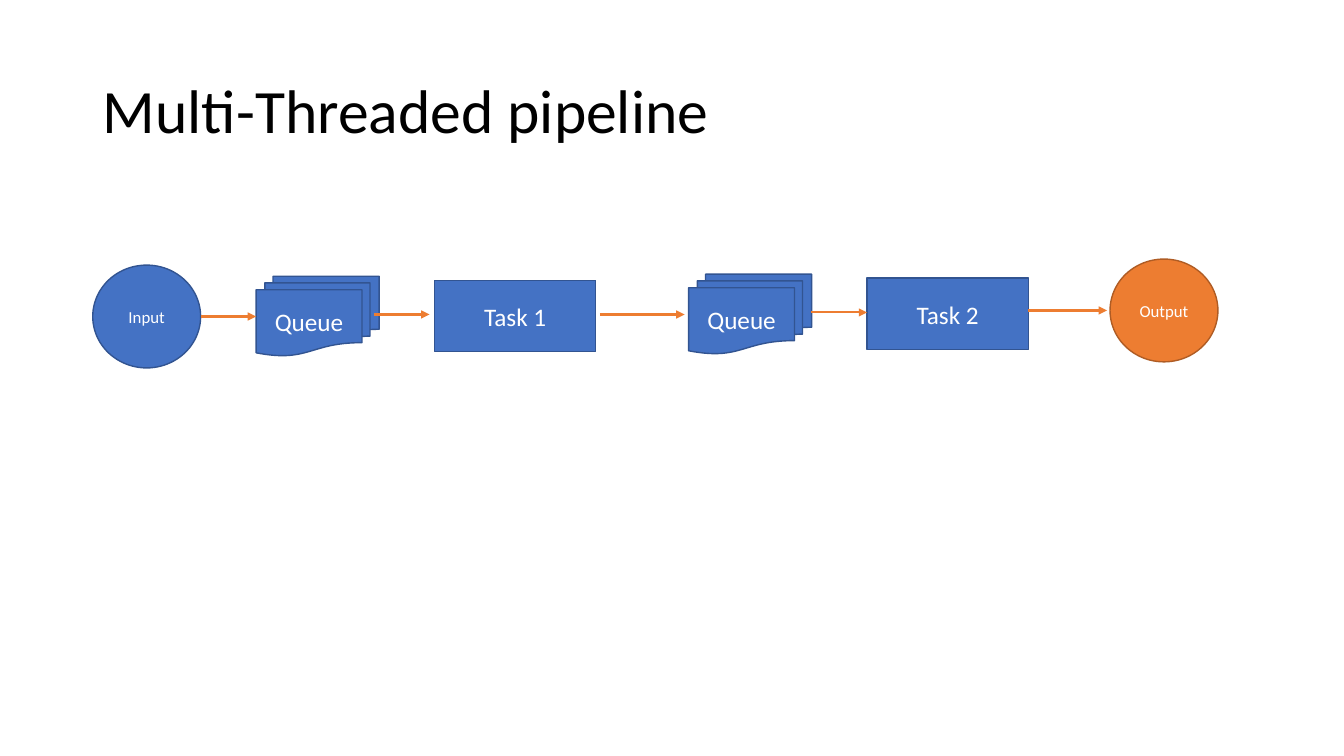
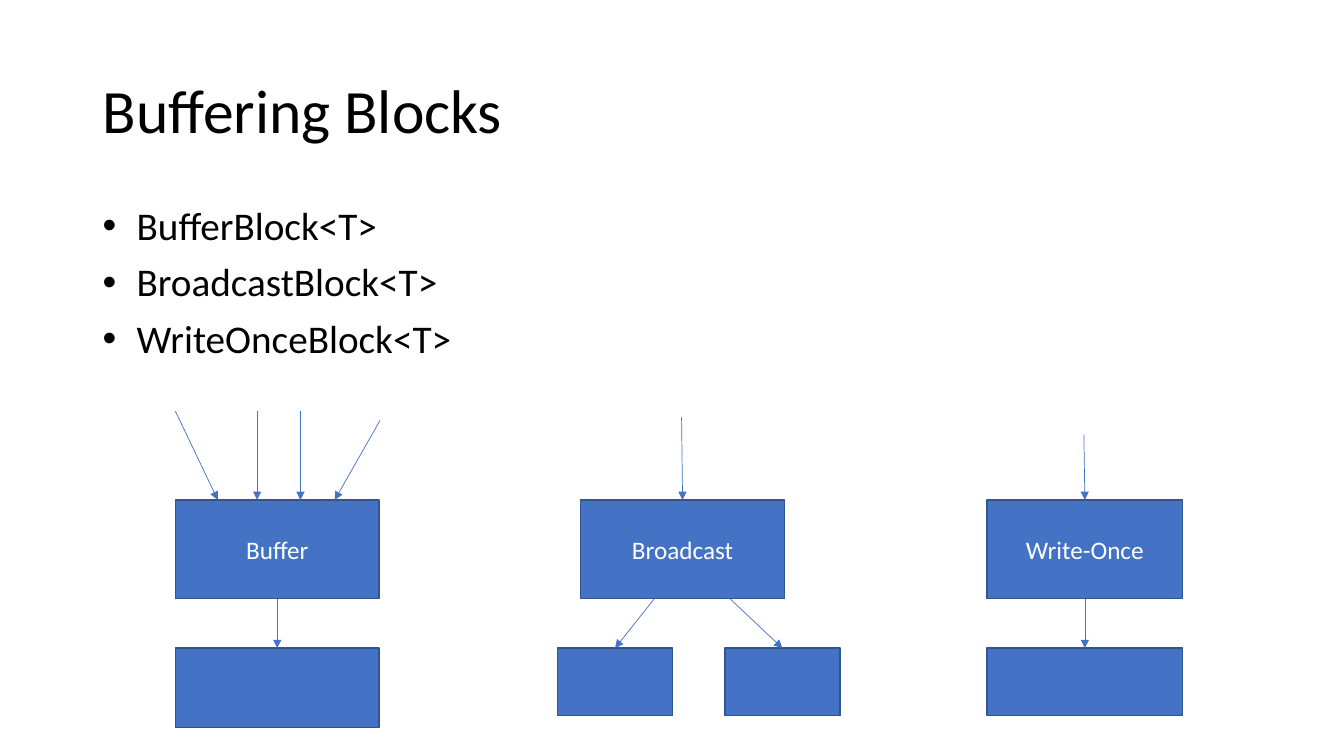
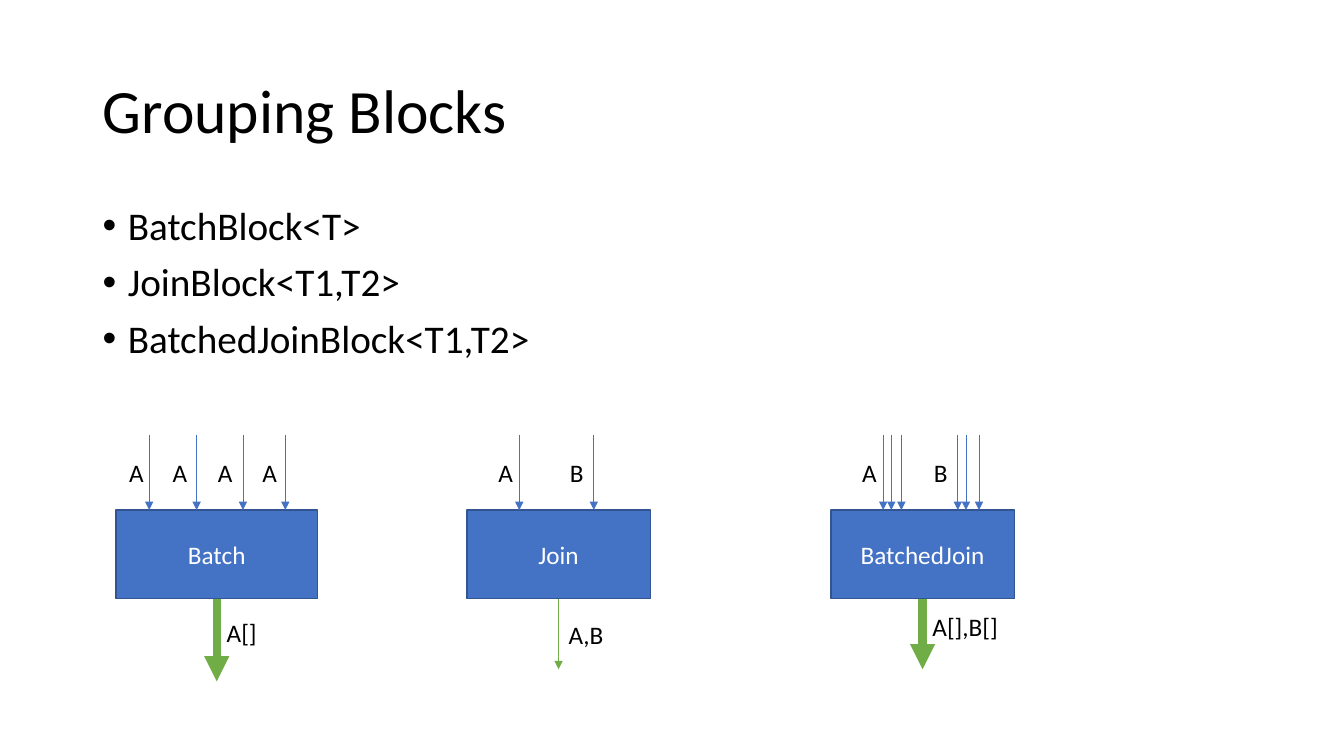
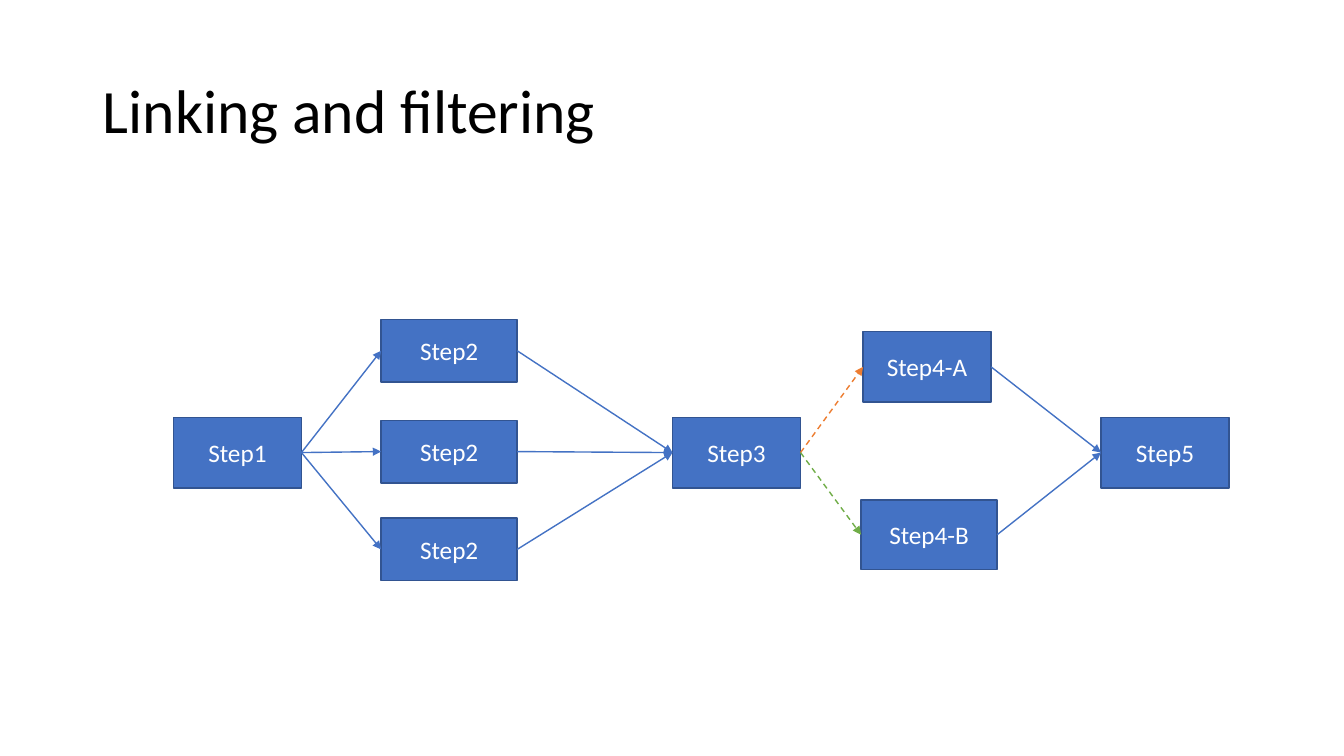
import pptx
import pptx.dml.color
import pptx.enum.dml
import pptx.enum.shapes
import pptx.enum.text
import pptx.oxml
import pptx.oxml.ns
import pptx.util

Inches = pptx.util.Inches
Pt = pptx.util.Pt
RGBColor = pptx.dml.color.RGBColor
MSO_SHAPE = pptx.enum.shapes.MSO_SHAPE
PP_ALIGN = pptx.enum.text.PP_ALIGN
MSO_ANCHOR = pptx.enum.text.MSO_ANCHOR
DASH = pptx.enum.dml.MSO_LINE.DASH

FONT = "Calibri"
BLACK = RGBColor(0x00, 0x00, 0x00)
WHITE = RGBColor(0xFF, 0xFF, 0xFF)
BLUE = RGBColor(0x44, 0x72, 0xC4)
BLUE_EDGE = RGBColor(0x32, 0x54, 0x91)
ORANGE = RGBColor(0xED, 0x7D, 0x31)
ORANGE_EDGE = RGBColor(0xAF, 0x5C, 0x24)
GREEN = RGBColor(0x70, 0xAD, 0x47)

TITLE_BOX = (0.92, 0.4, 11.5, 1.45)
BODY_BOX = (0.92, 2, 11.5, 4.76)
LEFT_SITE, RIGHT_SITE = 1, 3


def add_xml(parent, tag, **attributes):
    """Append a DrawingML element to parent and return it."""
    child = pptx.oxml.parse_xml(f"<{tag} {pptx.oxml.ns.nsdecls('a')}/>")
    for name, value in attributes.items():
        child.set(name, value)
    parent.append(child)
    return child


def add_run(p, text, size, color):
    """Add one run of text in the shared font."""
    r = p.add_run()
    r.text = text
    r.font.name = FONT
    r.font.size = Pt(size)
    r.font.color.rgb = color


def add_slide(prs, title):
    """Add a title-only slide with the shared title style."""
    s = prs.slides.add_slide(prs.slide_layouts[5])
    sp = s.shapes.title
    sp.left, sp.top, sp.width, sp.height = map(Inches, TITLE_BOX)
    sp.text_frame.vertical_anchor = MSO_ANCHOR.MIDDLE
    p = sp.text_frame.paragraphs[0]
    p.alignment = PP_ALIGN.LEFT
    p.line_spacing = 0.9
    add_run(p, title, 44, BLACK)
    return s


def add_bullets(s, box, items):
    """Add a bulleted list in the given box."""
    tf = s.shapes.add_textbox(*map(Inches, box)).text_frame
    tf.word_wrap = True
    for i, item in enumerate(items):
        p = tf.add_paragraph() if i else tf.paragraphs[0]
        p.line_spacing = 0.9
        p.space_before = Pt(10)
        pPr = p._p.get_or_add_pPr()
        pPr.set("marL", str(Inches(0.25)))
        pPr.set("indent", str(-Inches(0.25)))
        add_xml(pPr, "a:buFont", typeface="Arial")
        add_xml(pPr, "a:buChar", char="•")
        add_run(p, item, 28, BLACK)


def add_block(s, box, text="", kind=MSO_SHAPE.RECTANGLE, size=18, fill=BLUE, edge=BLUE_EDGE):
    """Add a filled shape with centred white text."""
    sp = s.shapes.add_shape(kind, *map(Inches, box))
    sp.shadow.inherit = False
    sp.fill.solid()
    sp.fill.fore_color.rgb = fill
    sp.line.color.rgb = edge
    sp.line.width = Pt(1)
    if text:
        sp.text_frame.vertical_anchor = MSO_ANCHOR.MIDDLE
        p = sp.text_frame.paragraphs[0]
        p.alignment = PP_ALIGN.CENTER
        add_run(p, text, size, WHITE)
    return sp


def add_arrow(s, start=(0, 0), end=(0, 0), color=BLUE, width=0.5, dash=None):
    """Add a straight arrow from start to end."""
    straight = pptx.enum.shapes.MSO_CONNECTOR.STRAIGHT
    arrow = s.shapes.add_connector(straight, *map(Inches, start + end))
    arrow.line.color.rgb = color
    arrow.line.width = Pt(width)
    if dash:
        arrow.line.dash_style = dash
    add_xml(arrow.line._get_or_add_ln(), "a:tailEnd", type="triangle")
    add_xml(arrow._element.spPr, "a:effectLst")
    return arrow


def link(s, source, target, color=BLUE, dash=None):
    """Join the right side of source to the left side of target."""
    arrow = add_arrow(s, color=color, width=1, dash=dash)
    arrow.begin_connect(source, RIGHT_SITE)
    arrow.end_connect(target, LEFT_SITE)


def add_label(s, x, y, text, width=0.12, wrap=True):
    """Add a short black label."""
    tf = s.shapes.add_textbox(*map(Inches, (x, y, width, 0.4))).text_frame
    tf.word_wrap = wrap
    tf.auto_size = pptx.enum.text.MSO_AUTO_SIZE.SHAPE_TO_FIT_TEXT
    add_run(tf.paragraphs[0], text, 18, BLACK)


def pipeline(s, x, y):
    """Draw the pipeline with its top left corner at x, y."""
    add_block(s, (x, y + 0.06, 1.07, 1.02), "Input", MSO_SHAPE.OVAL, 12)
    add_block(s, (x + 10.09, y, 1.07, 1.02), "Output", MSO_SHAPE.OVAL, 12, ORANGE, ORANGE_EDGE)
    for dx, dy, task in ((1.62, 0.17, "Task 1"), (5.91, 0.15, "Task 2")):
        add_block(s, (x + dx, y + dy, 1.22, 0.79), "Queue", MSO_SHAPE.FLOWCHART_MULTIDOCUMENT)
        add_block(s, (x + dx + 1.77, y + dy + 0.04, 1.6, 0.71), task)
    for start, end, dy in ((1.07, 1.62, 0.57), (2.79, 3.34, 0.55), (5.03, 5.87, 0.55),
                           (7.12, 7.68, 0.53), (9.28, 10.06, 0.51)):
        add_arrow(s, (x + start, y + dy), (x + end, y + dy), ORANGE, 1.5)


def buffering(s, box, name, inputs, outputs):
    """Draw a block with slanted inputs above and receiving blocks below."""
    x, y, w, h = box
    add_block(s, box, name)
    for start, rise, end in inputs:
        add_arrow(s, (x + start, y - rise), (x + end, y))
    bottom, top = y + h, y + h + 0.49
    for start, left, width, height in outputs:
        add_block(s, (x + left, top, width, height))
        add_arrow(s, (x + start, bottom), (x + left + width / 2, top))


def grouping(s, box, name, ports, labels, result, label_width, label_drop, length, weight):
    """Draw a block with labelled inputs above and one result arrow below."""
    x, y, w, h = box
    add_block(s, box, name)
    for port in ports:
        add_arrow(s, (x + port, y - 0.74), (x + port, y))
    for dx, text in labels:
        add_label(s, x + dx, y - 0.57, text)
    middle, bottom = x + w / 2, y + h
    add_arrow(s, (middle, bottom), (middle, bottom + length), GREEN, weight)
    add_label(s, middle, bottom + label_drop, result, label_width, False)


def linking(s, x, y):
    """Draw the linked steps with the first step at x, y."""
    def step(dx, dy, text, w=1.27, h=0.7):
        return add_block(s, (x + dx, y + dy, w, h), text)

    first = step(0, 0, "Step1")
    seconds = [step(2.06, dy, "Step2", 1.35, 0.62) for dy in (-0.97, 0.03, 1)]
    third = step(4.95, 0, "Step3")
    branches = ((step(6.84, -0.85, "Step4-A"), ORANGE),
                (step(6.82, 0.82, "Step4-B", 1.35, 0.69), GREEN))
    last = step(9.2, 0, "Step5")
    for second in seconds:
        link(s, first, second)
        link(s, second, third)
    for branch, color in branches:
        link(s, third, branch, color, DASH)
        link(s, branch, last)


prs = pptx.Presentation()
prs.slide_width, prs.slide_height = Inches(13.33), Inches(7.5)

pipeline(add_slide(prs, "Multi-Threaded pipeline"), 0.92, 2.57)

s = add_slide(prs, "Buffering Blocks")
add_bullets(s, BODY_BOX, (" BufferBlock<T>", " BroadcastBlock<T>", " WriteOnceBlock<T>"))
buffering(s, (1.74, 4.96, 2.02, 0.98), "Buffer",
          ((0, 0.88, 0.42), (0.81, 0.88, 0.81), (1.24, 0.88, 1.24), (2.03, 0.79, 1.58)),
          ((1.01, 0, 2.02, 0.79),))
buffering(s, (5.76, 4.96, 2.02, 0.98), "Broadcast", ((1, 0.82, 1.01),),
          ((0.73, -0.23, 1.14, 0.67), (1.48, 1.43, 1.14, 0.67)))
buffering(s, (9.79, 4.96, 1.94, 0.98), "Write-Once", ((0.96, 0.65, 0.97),),
          ((0.97, 0, 1.94, 0.67),))

s = add_slide(prs, "Grouping Blocks")
add_bullets(s, BODY_BOX, ("BatchBlock<T>", "JoinBlock<T1,T2>", "BatchedJoinBlock<T1,T2>"))
PAIR = ((0.29, "A"), (1, "B"))
grouping(s, (1.15, 5.06, 2, 0.88), "Batch", (0.33, 0.8, 1.26, 1.68),
         ((0.11, "A"), (0.54, "A"), (0.99, "A"), (1.43, "A")), "A[]", 0.52, 0.14, 0.82, 6)
grouping(s, (4.63, 5.06, 1.82, 0.88), "Join", (0.52, 1.26), PAIR, "A,B", 0.55, 0.15, 0.7, 0.5)
grouping(s, (8.24, 5.06, 1.82, 0.88), "BatchedJoin", (0.52, 0.6, 0.7, 1.26, 1.34, 1.47),
         PAIR, "A[],B[]", 0.86, 0.08, 0.7, 6)

linking(add_slide(prs, "Linking and filtering"), 1.72, 4.14)

prs.save("out.pptx")
